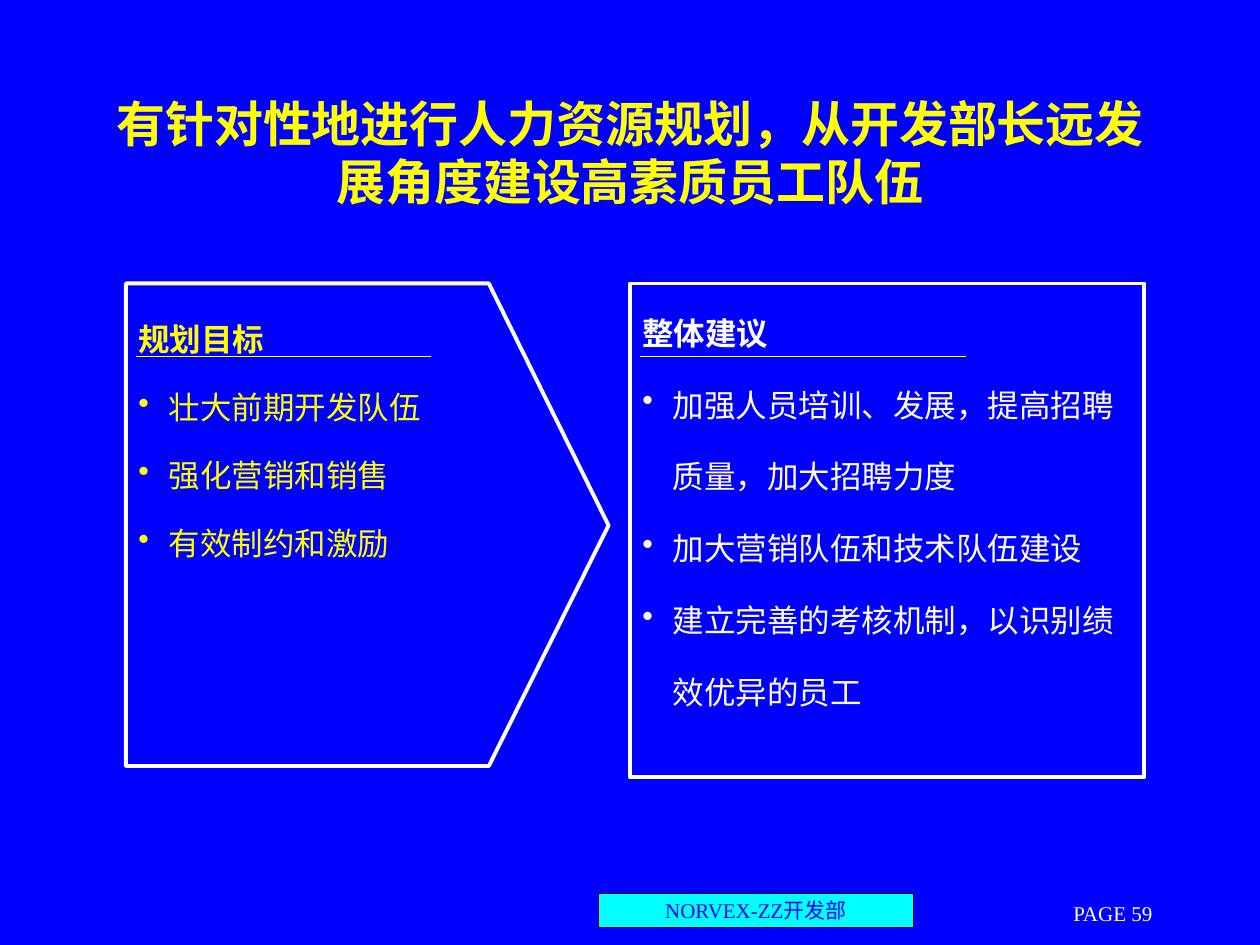
"""Build the staff planning slide with its goals arrow and advice box."""
from dataclasses import dataclass

import lxml.etree
import pptx
import pptx.dml.color
import pptx.enum.shapes
import pptx.enum.text
import pptx.oxml.ns
import pptx.util

Inches = pptx.util.Inches
ALIGN = pptx.enum.text.PP_ALIGN
ANCHOR = pptx.enum.text.MSO_ANCHOR
RECT = pptx.enum.shapes.MSO_SHAPE.RECTANGLE
STRAIGHT = pptx.enum.shapes.MSO_CONNECTOR.STRAIGHT
qn = pptx.oxml.ns.qn

BLUE, CYAN, BLACK = "0000FF", "00FFFF", "000000"
WHITE, YELLOW = "FFFFFF", "FFFF00"
SERIF, SANS = "Times New Roman", "Noto Sans CJK SC"
INDENT = Inches(0.24)


@dataclass
class Style:
    color: str
    size: float
    font: str = SERIF
    bold: bool = False
    align: ALIGN = ALIGN.LEFT
    space: float = 1.0


@dataclass
class Label:
    text: str
    box: tuple[float, float, float, float]
    style: Style
    wrap: bool = False


@dataclass
class Panel:
    head: str
    items: list[str]
    color: str
    space: float
    anchor: ANCHOR
    bottom: float
    rule: tuple[float, float]


LABELS = [
    Label("PAGE 59", (8.42, 7.12, 1.67, 0.25), Style(WHITE, 12)),
    Label("有针对性地进行人力资源规划，从开发部长远发展角度建设高素质员工队伍",
          (0.75, 0.58, 8.5, 1.25),
          Style(YELLOW, 28, SANS, True, ALIGN.CENTER), True),
]
GOALS = Panel("规划目标", ["壮大前期开发队伍", "强化营销和销售", "有效制约和激励"],
              YELLOW, 1.8, ANCHOR.TOP, 0.05, (1.08, 3.42))
ADVICE = Panel("整体建议", ["加强人员培训、发展，提高招聘质量，加大招聘力度",
                        "加大营销队伍和技术队伍建设",
                        "建立完善的考核机制，以识别绩效优异的员工"],
               WHITE, 1.9, ANCHOR.MIDDLE, 0.61, (5.08, 7.67))
ARROW = [(1, 2.25), (3.88, 2.25), (4.83, 4.17), (3.88, 6.08), (1, 6.08)]


def tint(code: str) -> pptx.dml.color.RGBColor:
    """Turn a hex string into a colour."""
    return pptx.dml.color.RGBColor.from_string(code)


def apply(target, values: dict) -> None:
    """Set each named value on the target."""
    for name, value in values.items():
        setattr(target, name, value)


def frame(shape, anchor: ANCHOR, wrap: bool, bottom: float = 0.05):
    """Prepare the text frame of a shape."""
    text = shape.text_frame
    apply(text, {"word_wrap": wrap, "vertical_anchor": anchor,
                 "margin_left": Inches(0.1), "margin_right": Inches(0.1),
                 "margin_top": Inches(0.05), "margin_bottom": Inches(bottom)})
    return text


def write(para, text: str, style: Style) -> None:
    """Write one styled run into a paragraph."""
    apply(para, {"alignment": style.align, "line_spacing": style.space})
    run = para.add_run()
    run.text = text
    apply(run.font, {"name": style.font, "size": pptx.util.Pt(style.size),
                     "bold": style.bold})
    run.font.color.rgb = tint(style.color)
    east = lxml.etree.SubElement(run.font._element, qn("a:ea"))
    east.set("typeface", SANS)


def bullet(para, color: str) -> None:
    """Give a paragraph a hanging bullet."""
    props = para._p.get_or_add_pPr()
    props.set("marL", str(INDENT))
    props.set("indent", str(-INDENT))
    hue = lxml.etree.SubElement(props, qn("a:buClr"))
    lxml.etree.SubElement(hue, qn("a:srgbClr")).set("val", color)
    lxml.etree.SubElement(props, qn("a:buChar")).set("char", "•")


def paint(shape, fill: str | None, line: str, width: float) -> None:
    """Set fill and outline and drop the shadow."""
    shape.shadow.inherit = False
    if fill:
        shape.fill.solid()
        shape.fill.fore_color.rgb = tint(fill)
    else:
        shape.fill.background()
    shape.line.color.rgb = tint(line)
    shape.line.width = pptx.util.Pt(width)


def add_label(slide, label: Label) -> None:
    """Add a text box."""
    shape = slide.shapes.add_textbox(*map(Inches, label.box))
    text = frame(shape, ANCHOR.MIDDLE, label.wrap)
    write(text.paragraphs[0], label.text, label.style)


def add_badge(slide) -> None:
    """Add the filled footer badge."""
    shape = slide.shapes.add_shape(RECT, *map(Inches, (4.75, 7.09, 2.5, 0.27)))
    paint(shape, CYAN, BLACK, 0.75)
    text = frame(shape, ANCHOR.MIDDLE, False)
    write(text.paragraphs[0], "NORVEX-ZZ开发部", Style(BLUE, 12, align=ALIGN.CENTER))


def fill_panel(shape, panel: Panel) -> None:
    """Outline a panel and write its heading and bullets."""
    paint(shape, None, WHITE, 2.25)
    text = frame(shape, panel.anchor, True, panel.bottom)
    write(text.paragraphs[0], panel.head,
          Style(panel.color, 18, bold=True, space=panel.space))
    for item in panel.items:
        para = text.add_paragraph()
        para.line_spacing = panel.space
        bullet(para, panel.color)
        write(para, item, Style(panel.color, 18, space=panel.space))


def add_rule(slide, start: float, end: float) -> None:
    """Add the thin line under a heading."""
    high = Inches(2.83)
    line = slide.shapes.add_connector(STRAIGHT, Inches(start), high, Inches(end), high)
    line.line.color.rgb = tint(WHITE)
    line.line.width = pptx.util.Pt(0.75)
    lxml.etree.SubElement(line._element.spPr, qn("a:effectLst"))


def main() -> None:
    """Draw the slide and save it."""
    deck = pptx.Presentation()
    apply(deck, {"slide_width": Inches(10), "slide_height": Inches(7.5)})
    slide = deck.slides.add_slide(deck.slide_layouts[6])
    slide.background.fill.solid()
    slide.background.fill.fore_color.rgb = tint(BLUE)
    add_badge(slide)
    for label in LABELS:
        add_label(slide, label)
    points = [(Inches(x), Inches(y)) for x, y in ARROW]
    pen = slide.shapes.build_freeform(*points[0])
    pen.add_line_segments(points[1:], close=True)
    fill_panel(pen.convert_to_shape(), GOALS)
    box = slide.shapes.add_shape(RECT, *map(Inches, (5, 2.25, 4.08, 3.92)))
    fill_panel(box, ADVICE)
    for panel in (GOALS, ADVICE):
        add_rule(slide, *panel.rule)
    deck.save("out.pptx")


if __name__ == "__main__":
    main()
